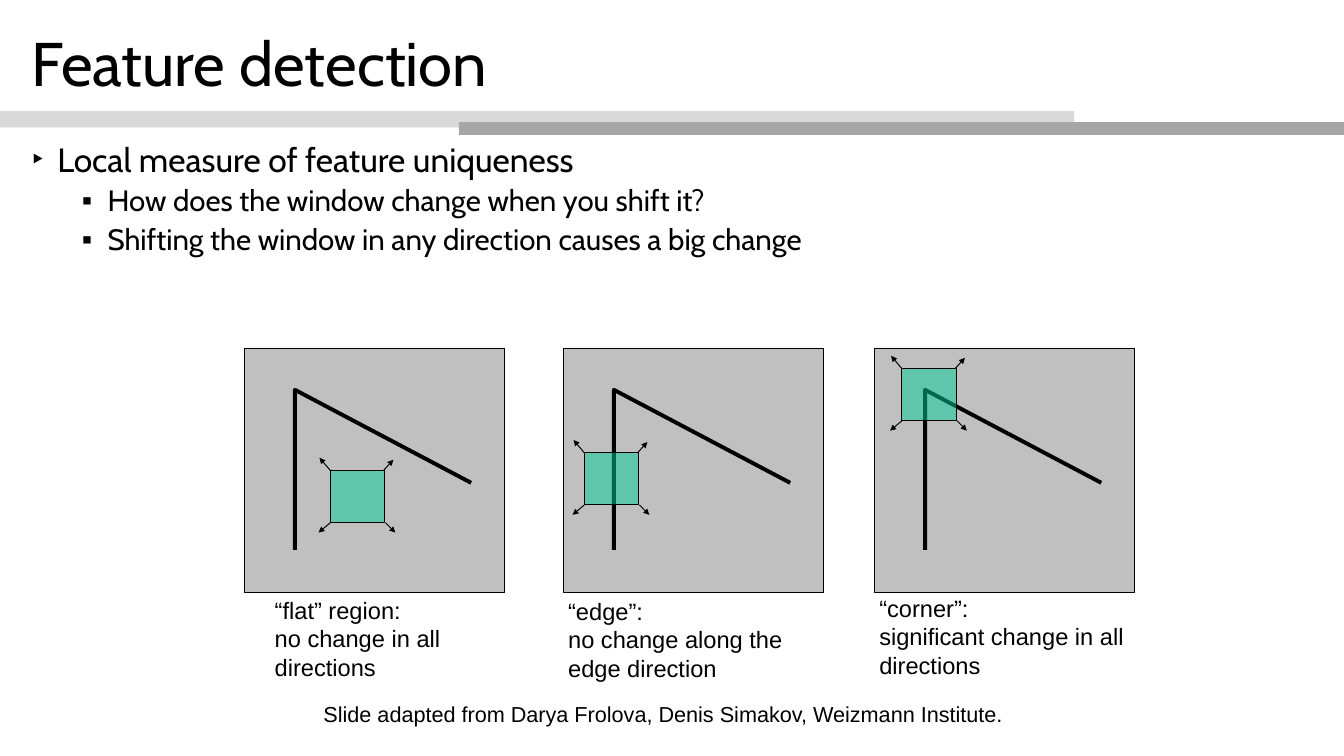
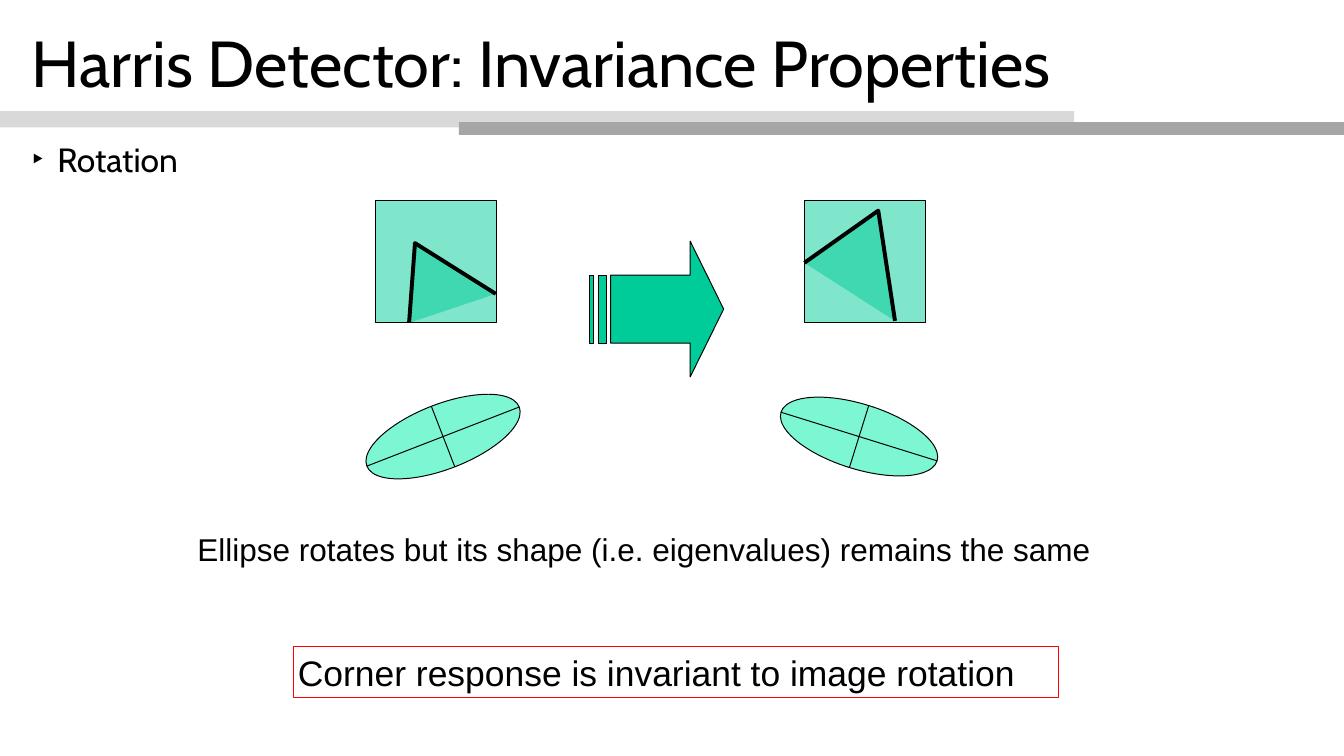
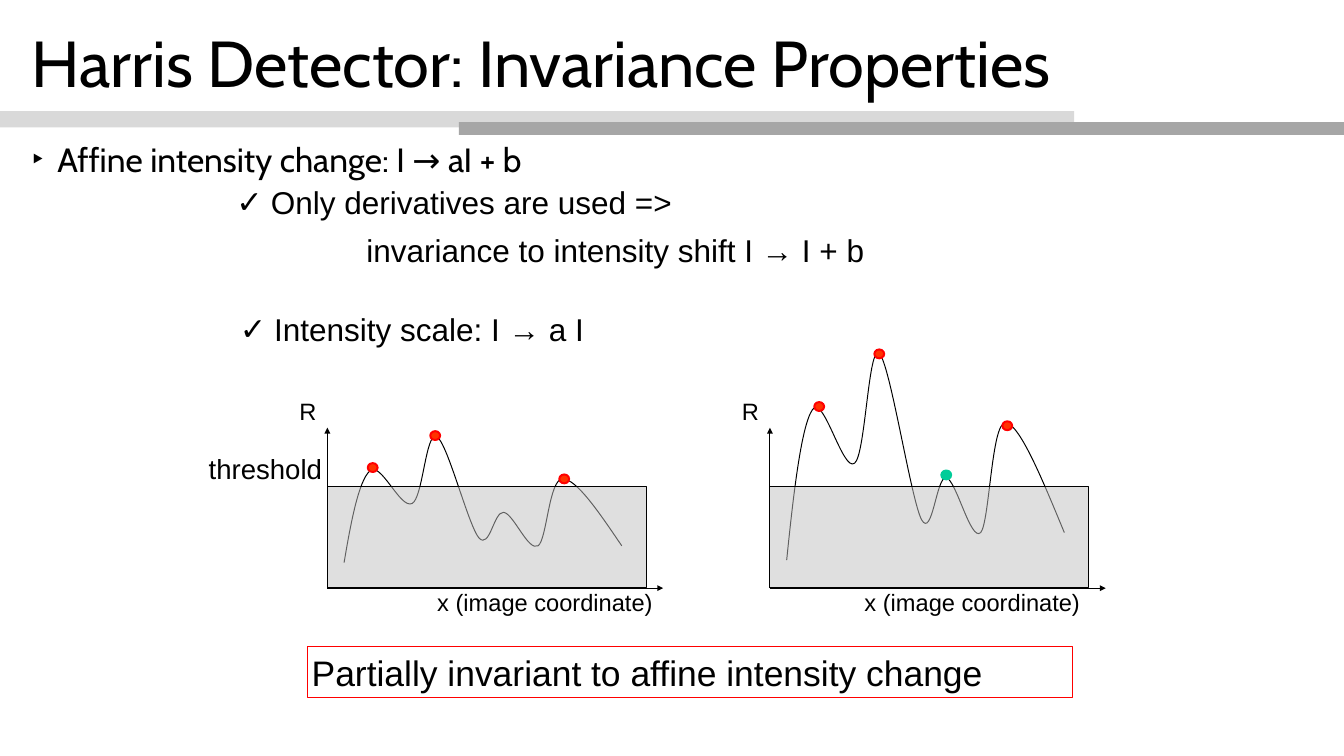
from math import cos, radians, sin

from lxml import etree
from pptx import Presentation
from pptx.dml.color import RGBColor
from pptx.enum import shapes as sh, text as tx
from pptx.oxml.ns import qn
from pptx.util import Pt

BLACK, GREY, GREEN, RED = "000000", "C0C0C0", "00CC99", "FF0000"
HEAD, BODY = "Cabin", "Arial"
BANDS = [(0, 113, 1091, 16.5, "D9D9D9"), (466, 124, 899, 13, "A6A6A6")]
TITLE = (25, 16, 1313, 104)
LIST = (25, 142, 1315, 610)
LEVELS = [("‣", 26, 34.1), ("▪", 77, 29.9)]
HARRIS = "Harris Detector: Invariance Properties"

# Response curve: a start, then three points for each Bézier piece.
CURVE = [
    (17, 128),
    (24, 86), (32, 45), (43, 35),
    (54, 24), (74, 74), (86, 68),
    (97, 63), (100, -6), (111, 0),
    (122, 6), (143, 90), (154, 103),
    (165, 115), (169, 76), (179, 77),
    (189, 78), (204, 117), (214, 111),
    (223, 105), (225, 43), (239, 43),
    (253, 43), (276, 77), (299, 111),
]


def hue(code):
    return RGBColor.from_string(code)


def place(item, box):
    item.left, item.top, item.width, item.height = map(Pt, box)


def paint(shape, fill=None, line=None, width=1, alpha=None):
    shape.shadow.inherit = False
    if fill:
        shape.fill.solid()
        shape.fill.fore_color.rgb = hue(fill)
        if alpha:
            tint = shape.element.spPr.find(qn("a:solidFill"))[0]
            etree.SubElement(tint, qn("a:alpha"), val=str(alpha * 1000))
    else:
        shape.fill.background()
    if line:
        shape.line.color.rgb = hue(line)
        shape.line.width = Pt(width)
    else:
        shape.line.fill.background()
    return shape


def draw(slide, kind, box, *look, **more):
    shape = slide.shapes.add_shape(kind, *map(Pt, box))
    return paint(shape, *look, **more)


def rect(slide, box, *look, **more):
    return draw(slide, sh.MSO_SHAPE.RECTANGLE, box, *look, **more)


def trace(slide, x, y, spots, *look, **more):
    """Draw an open outline through spots, counted from x, y."""
    spots = [(Pt(x + a), Pt(y + b)) for a, b in spots]
    pen = slide.shapes.build_freeform(*spots[0], scale=1.0)
    pen.add_line_segments(spots[1:], close=False)
    return paint(pen.convert_to_shape(), *look, **more)


def bend(shape):
    """Turn each three straight pieces into one Bézier piece."""
    steps = list(shape.element.iter(qn("a:lnTo")))
    for i in range(0, len(steps), 3):
        curve = etree.Element(qn("a:cubicBezTo"))
        steps[i].addprevious(curve)
        for step in steps[i:i + 3]:
            curve.append(step[0])
            step.getparent().remove(step)


def link(slide, x1, y1, x2, y2, arrow=False):
    line = slide.shapes.add_connector(
        sh.MSO_CONNECTOR.STRAIGHT, *map(Pt, (x1, y1, x2, y2)))
    line.line.color.rgb = hue(BLACK)
    line.line.width = Pt(1)
    prop = line.element.spPr
    if arrow:
        etree.SubElement(prop.find(qn("a:ln")), qn("a:tailEnd"),
                         type="triangle")
    etree.SubElement(prop, qn("a:effectLst"))


def style(para, size, name=BODY):
    para.alignment = tx.PP_ALIGN.LEFT
    for run in para.runs:
        run.font.size = Pt(size)
        run.font.name = name
        run.font.color.rgb = hue(BLACK)


def inset(para, left, mark=None):
    """Indent a paragraph, hanging a bullet if one is given."""
    prop = para._p.get_or_add_pPr()
    prop.set("marL", str(Pt(left)))
    if mark:
        hang = min(left, 26) if left != 35 else left
        prop.set("indent", str(-Pt(hang)))
        etree.SubElement(prop, qn("a:buFont"), typeface=BODY)
        etree.SubElement(prop, qn("a:buChar"), char=mark)


def write(frame, words, size):
    frame.word_wrap = True
    frame.auto_size = tx.MSO_AUTO_SIZE.NONE
    frame.vertical_anchor = tx.MSO_ANCHOR.MIDDLE
    frame.margin_left = frame.margin_right = Pt(4.5)
    frame.margin_top = frame.margin_bottom = Pt(4.5)
    frame.text = words
    for para in frame.paragraphs:
        style(para, size)


def label(slide, box, words, size):
    frame = slide.shapes.add_textbox(*map(Pt, box)).text_frame
    write(frame, words, size)
    return frame.paragraphs


def claim(slide, x, words):
    """Add the red frame that holds the slide's conclusion."""
    frame = rect(slide, (x, 657, 777, 52), None, RED).text_frame
    write(frame, words, 36)


def start(deck, title, items, size=66):
    """Add a slide with its title and its list of (level, words)."""
    slide = deck.slides.add_slide(deck.slide_layouts[1])
    head, body = slide.placeholders
    for item, box in ((head, TITLE), (body, LIST)):
        place(item, box)
        item.text_frame.auto_size = tx.MSO_AUTO_SIZE.NONE
    head.text_frame.text = title
    head.text_frame.vertical_anchor = tx.MSO_ANCHOR.MIDDLE
    para = head.text_frame.paragraphs[0]
    para.line_spacing = 0.9
    style(para, size, HEAD)

    body.text_frame.text = "\n".join(words for _, words in items)
    for i, para in enumerate(body.text_frame.paragraphs):
        para.level = items[i][0]
        mark, left, points = LEVELS[para.level]
        inset(para, left, mark)
        para.line_spacing = 0.9
        para.space_before = Pt(7 if i else 0)
        style(para, points, HEAD)
    return slide


def brand(deck, slide):
    """Draw the two bands and hand them to the shared layout."""
    tree = deck.slide_layouts[1].shapes.element
    for i, (*box, fill) in enumerate(BANDS):
        band = rect(slide, box, fill).element
        band.find(".//" + qn("p:cNvPr")).set("id", str(20 + i))
        tree.insert(2 + i, band)


def panel(slide, x, y, window):
    """Draw a corner in a grey field with a window that can shift."""
    rect(slide, (x, y, 264, 248), GREY, BLACK)
    trace(slide, x, y, [(51, 205), (51, 42.5), (230, 137)],
          None, BLACK, 4)
    left, top = x + window[0], y + window[1]
    rect(slide, (left, top, 55, 52.5), GREEN, BLACK, alpha=50)
    for a, b, dx, dy in ((54, 0, 10, -11), (56, 53, 10, 10),
                         (0, 53, -12, 10), (0, 0, -11, -13)):
        link(slide, left + a, top + b, left + a + dx, top + b + dy, True)


def patch(slide, x, y, spots):
    rect(slide, (x, y, 123, 124), GREEN, BLACK, alpha=50)
    trace(slide, x, y, spots, GREEN, BLACK, 4, 50)


def oval(slide, x, y, angle):
    """Draw a turned ellipse and its two axes around x, y."""
    long, short = 83, 33
    shape = draw(slide, sh.MSO_SHAPE.OVAL,
                 (x - long, y - short, 2 * long, 2 * short),
                 "7CF6D3", BLACK)
    shape.rotation = angle
    c, s = cos(radians(angle)), sin(radians(angle))
    for dx, dy in ((long * c, long * s), (-short * s, short * c)):
        link(slide, x - dx, y - dy, x + dx, y + dy)


def plot(slide, x, y, rise, scale, shift, dots):
    """Draw the response above a threshold field whose corner is x, y."""
    spots = [(a, b * scale) for a, b in CURVE]
    bend(trace(slide, x, y - rise, spots, None, BLACK))
    link(slide, x, y + 103, x + 341, y + 103, True)
    link(slide, x, y + 103, x, y - 60, True)
    label(slide, (x - 33, y - 95, 30, 37), "R", 24)
    label(slide, (x + shift, y + 99, 240, 37), "x (image coordinate)", 24)
    rect(slide, (x, y, 324, 102), GREY, BLACK, alpha=50)
    for a, b, fill, line in dots:
        draw(slide, sh.MSO_SHAPE.OVAL, (x + a - 5, y + b - 4.5, 10, 9),
             fill, line, 2)


def detect(deck):
    slide = start(deck, "Feature detection", [
        (0, "Local measure of feature uniqueness"),
        (1, "How does the window change when you shift it?"),
        (1, "Shifting the window in any direction causes a big change"),
    ], 62.6)
    brand(deck, slide)
    cases = [
        (248.5, (87, 124.5), (26, 0, 230),
         "“flat” region:\nno change in all directions"),
        (572.5, (21, 106.5), (0, 1, 273),
         "“edge”:\nno change along the edge direction"),
        (888.5, (27.5, 21), (0, -2, 273),
         "“corner”:\nsignificant change in all directions"),
    ]
    for x, window, (dx, dy, wide), words in cases:
        panel(slide, x, 353.5, window)
        label(slide, (x + dx, 601 + dy, wide, 95), words, 24)
    label(slide, (324, 708, 836, 34.5),
          "Slide adapted from Darya Frolova, Denis Simakov, "
          "Weizmann Institute.", 22)


def rotate(deck):
    slide = start(deck, HARRIS, [(0, "Rotation")])
    label(slide, (196, 534, 963, 47),
          "Ellipse rotates but its shape (i.e. eigenvalues) "
          "remains the same", 32)
    patch(slide, 381, 204, [(34.5, 124), (40.5, 43), (122.5, 94.5)])
    patch(slide, 817, 204, [(0, 63), (75, 10), (92, 122)])
    arrow = draw(slide, sh.MSO_SHAPE.STRIPED_RIGHT_ARROW,
                 (599, 245, 136, 138), GREEN, BLACK)
    arrow.adjustments[0], arrow.adjustments[1] = 0.5, 0.25
    oval(slide, 450, 443.5, -21.2)
    oval(slide, 872.5, 443.5, 17.3)
    claim(slide, 298, "Corner response is invariant to image rotation")


def affine(deck):
    slide = start(deck, HARRIS,
                  [(0, "Affine intensity change: I → aI + b")])
    first, then = label(
        slide, (235.5, 181.5, 734, 96),
        "Only derivatives are used =>\n"
        "invariance to intensity shift I → I + b", 32)
    inset(first, 35, "✓")
    inset(then, 132)
    then.space_before = Pt(10)
    scale, = label(slide, (239, 311, 580, 47),
                   "Intensity scale: I → a I", 32)
    inset(scale, 35, "✓")
    hot, new = ("FF3300", RED), (GREEN, GREEN)
    plot(slide, 332.5, 494.5, 51, 1, 107,
         [(46, -19.5, *hot), (109.5, -52, *hot), (240.5, -8, *hot)])
    label(slide, (207.5, 455, 130, 42), "threshold", 28)
    plot(slide, 782, 494.5, 135.5, 1.64, 91.5,
         [(50, -81.5, *hot), (111, -135, *hot),
          (179, -12, *new), (241, -62, *hot)])
    claim(slide, 312, "Partially invariant to affine intensity change")


def main():
    deck = Presentation()
    deck.slide_width, deck.slide_height = Pt(1365), Pt(768)
    for build in (detect, rotate, affine):
        build(deck)
    deck.save("out.pptx")


if __name__ == "__main__":
    main()
